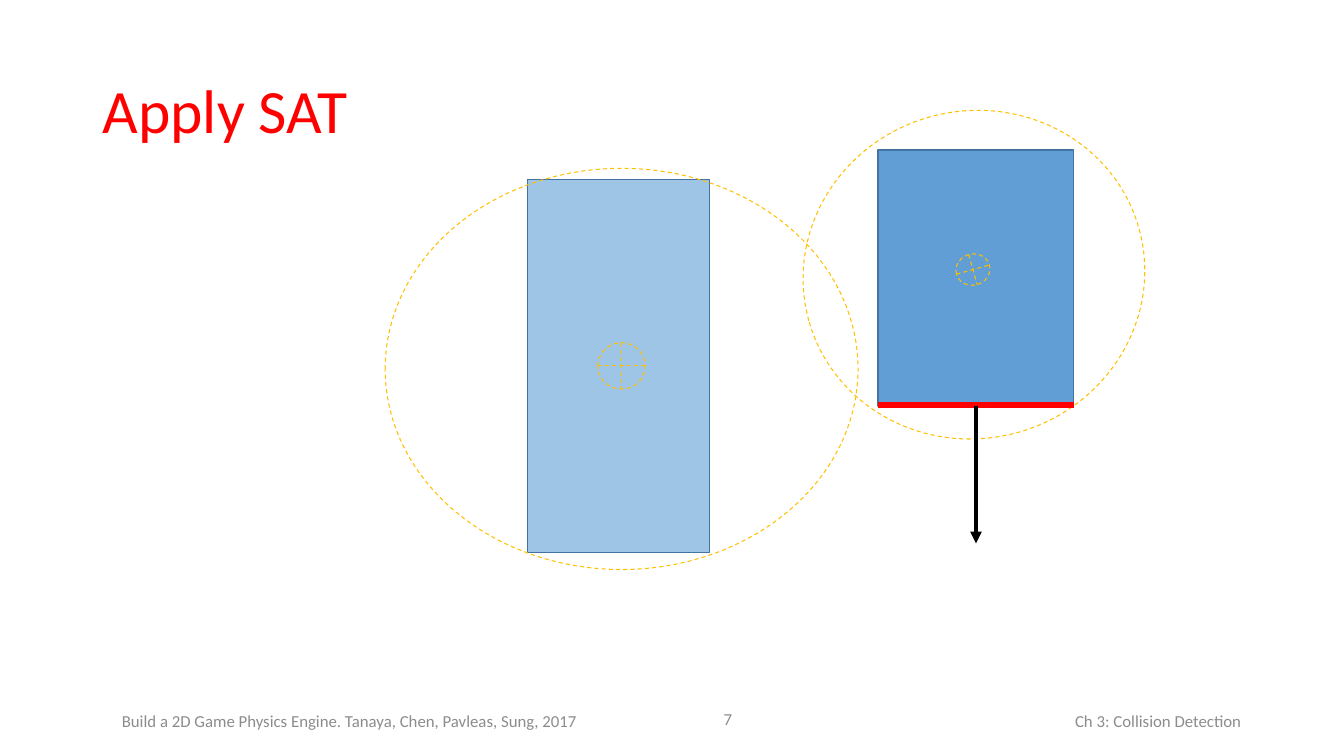
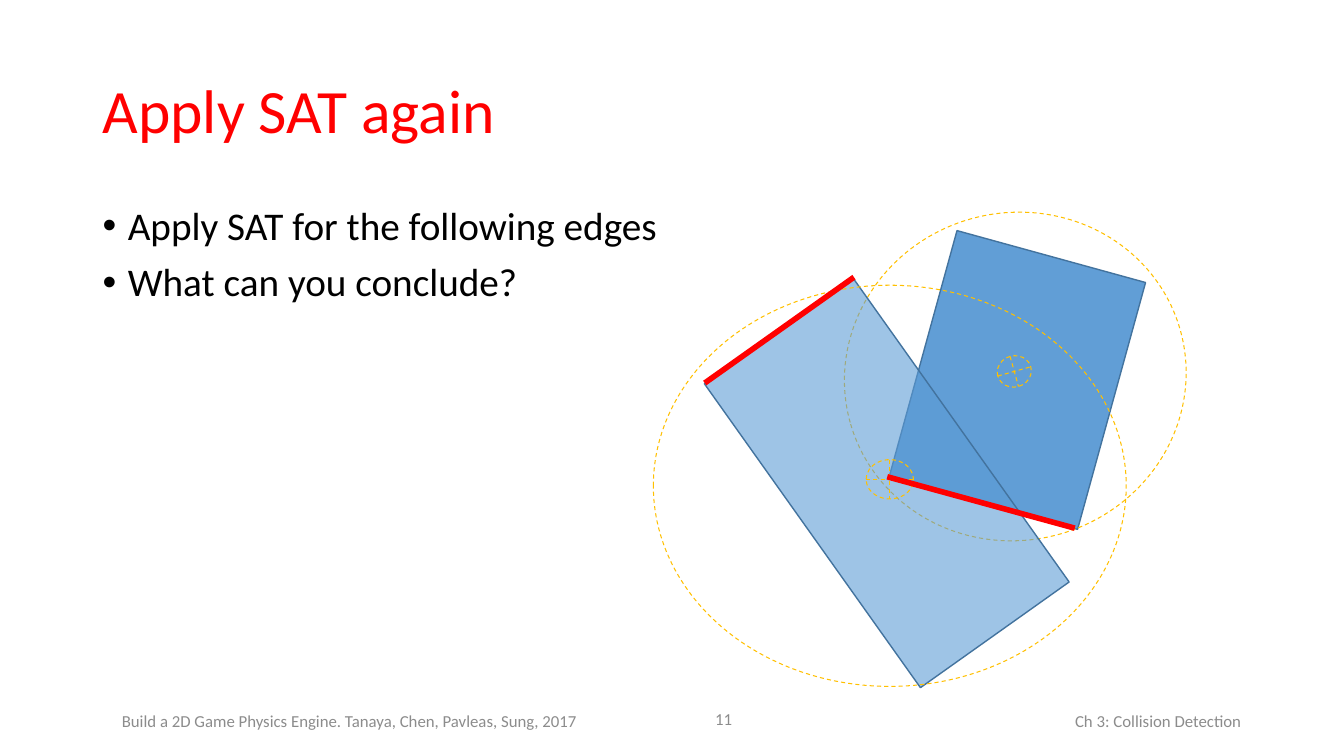
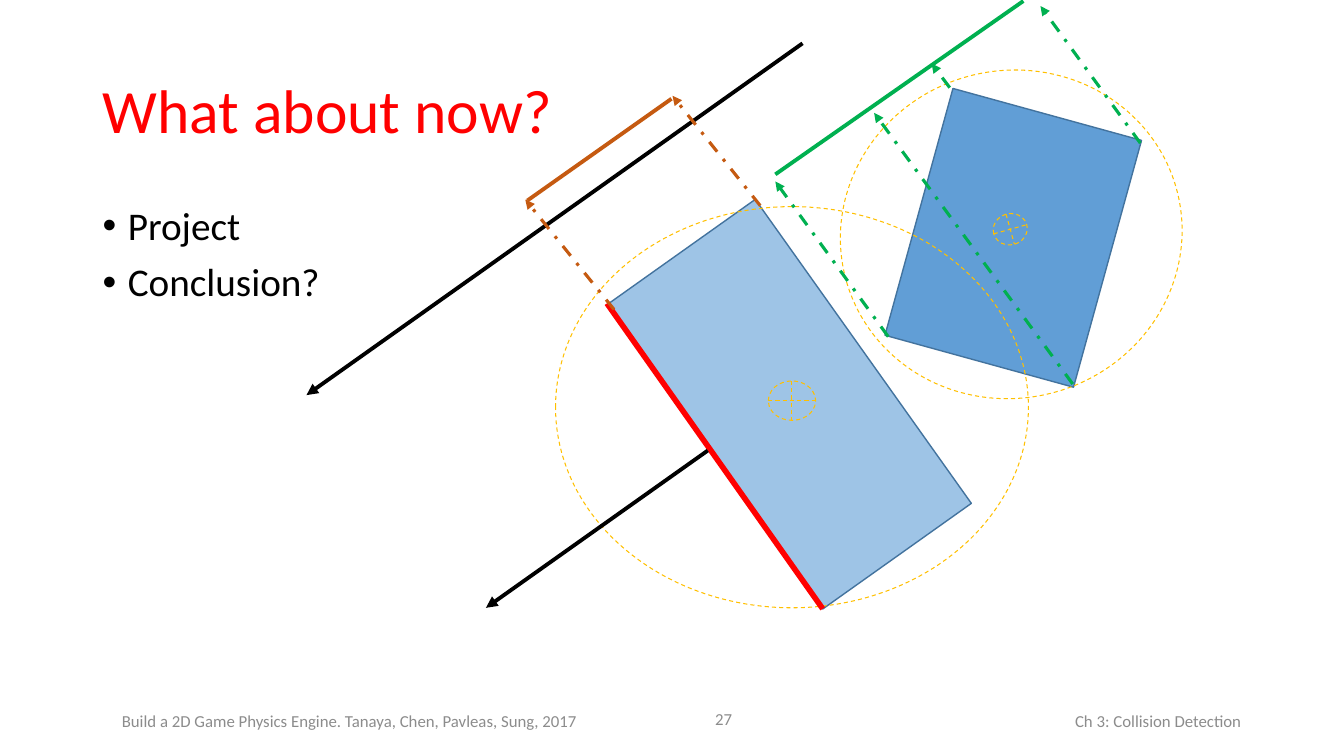
from pptx import Presentation
from pptx.dml.color import RGBColor
from pptx.enum.dml import MSO_LINE
from pptx.enum.shapes import MSO_CONNECTOR, MSO_SHAPE
from pptx.enum.text import MSO_ANCHOR, PP_ALIGN
from pptx.oxml.ns import qn
from pptx.util import Inches, Pt
from lxml import etree

RECT, OVAL, CROSS = MSO_SHAPE.RECTANGLE, MSO_SHAPE.OVAL, MSO_SHAPE.FLOWCHART_OR
STRAIGHT = MSO_CONNECTOR.STRAIGHT
DASH, DASH_DOT = MSO_LINE.DASH, MSO_LINE.DASH_DOT
TOP, MIDDLE = MSO_ANCHOR.TOP, MSO_ANCHOR.MIDDLE
LEFT, RIGHT = PP_ALIGN.LEFT, PP_ALIGN.RIGHT

BLACK, RED, GREY = "000000", "FF0000", "8C8C8C"
BLUE, EDGE, GOLD = "5B9BD5", "43739E", "FFC000"
ORANGE, GREEN = "C55A11", "00B050"
FONT = "Calibri"


def rgb(value):
    return RGBColor.from_string(value)


class Deck:
    def __init__(self):
        self.prs = Presentation()
        self.prs.slide_width, self.prs.slide_height = Inches(13.33), Inches(7.5)
        self.s = None

    def slide(self, title, number):
        self.s = self.prs.slides.add_slide(self.prs.slide_layouts[6])
        self.text(7.6, 6.95, 4.81, 0.4, ["Ch 3: Collision Detection"], 12, GREY, align=RIGHT)
        self.text(1.11, 6.95, 5.05, 0.4,
                  ["Build a 2D Game Physics Engine. Tanaya, Chen, Pavleas, Sung, 2017"], 12, GREY)
        self.text(6.17, 6.93, 1.19, 0.4, [str(number)], 12, GREY, align=RIGHT)
        self.text(0.92, 0.4, 11.5, 1.45, [title], 44, RED, spacing=0.9)

    def text(self, x, y, w, h, lines, size, color, align=LEFT, anchor=MIDDLE, spacing=1.0):
        sp = self.s.shapes.add_textbox(Inches(x), Inches(y), Inches(w), Inches(h))
        tf = sp.text_frame
        tf.word_wrap, tf.vertical_anchor = True, anchor
        for i, line in enumerate(lines):
            p = tf.add_paragraph() if i else tf.paragraphs[0]
            p.alignment, p.line_spacing = align, spacing
            r = p.add_run()
            r.text = line
            r.font.name, r.font.size = FONT, Pt(size)
            r.font.color.rgb = rgb(color)
        return tf

    def bullets(self, lines):
        tf = self.text(0.92, 2, 11.5, 4.76, lines, 28, BLACK, anchor=TOP, spacing=0.9)
        for p in tf.paragraphs:
            p.space_before = Pt(10)
            pPr = p._p.get_or_add_pPr()
            pPr.set("marL", str(Inches(0.25)))
            pPr.set("indent", str(-Inches(0.25)))
            etree.SubElement(pPr, qn("a:buFont")).set("typeface", "Arial")
            etree.SubElement(pPr, qn("a:buChar")).set("char", "•")

    def shape(self, shapes, kind, x, y, w, h, rot, color, width, dash=None, alpha=None):
        sp = shapes.add_shape(kind, Inches(x), Inches(y), Inches(w), Inches(h))
        sp.rotation, sp.shadow.inherit = rot, False
        sp.line.color.rgb, sp.line.width = rgb(color), Pt(width)
        if dash:
            sp.line.dash_style = dash
        if alpha is None:
            sp.fill.background()
        else:
            sp.fill.solid()
            sp.fill.fore_color.rgb = rgb(BLUE)
            clr = sp._element.spPr.find(qn("a:solidFill"))[0]
            etree.SubElement(clr, qn("a:alpha")).set("val", str(alpha * 1000))
        return sp

    def body(self, x, y, w, h, rot, alpha, circle, center, circle_rot):
        """Rectangle with bounding circle and centre mark, both placed from its corner."""
        shapes = self.s.shapes.add_group_shape().shapes
        box = self.shape(shapes, RECT, x, y, w, h, rot, EDGE, 1, alpha=alpha)
        for kind, (dx, dy, cw, ch) in ((OVAL, circle), (CROSS, center)):
            self.shape(shapes, kind, x + dx, y + dy, cw, ch, circle_rot, GOLD, 0.75, DASH)
        return box

    def dark_body(self, x, y, rot=15.4):
        return self.body(x, y, 1.94, 2.54, rot, 96, (-0.75, -0.39, 3.4, 3.25),
                         (0.77, 1.03, 0.34, 0.31), 344.4)

    def light_body(self, x, y, rot=324.6, mark_h=0.39):
        return self.body(x, y, 1.81, 3.7, rot, 59, (-1.41, -0.11, 4.69, 3.98),
                         (0.7, 1.62, 0.47, mark_h), 0)

    def line(self, start, end, color, width=2.75, dash=None, arrow=False):
        cx = self.s.shapes.add_connector(STRAIGHT, *map(Inches, start + end))
        cx.line.color.rgb, cx.line.width = rgb(color), Pt(width)
        if dash:
            cx.line.dash_style = dash
        if arrow:
            etree.SubElement(cx.line._get_or_add_ln(), qn("a:tailEnd")).set("type", "triangle")
        etree.SubElement(cx._element.spPr, qn("a:effectLst"))
        return cx

    def edge(self, start, end):
        return self.line(start, end, RED, 4)

    def normal(self, start, end):
        return self.line(start, end, BLACK, arrow=True)

    def projection(self, start, end, color):
        return self.line(start, end, color, 2.25, DASH_DOT, True)


def main():
    deck = Deck()

    # Upright bodies: one edge and its normal
    deck.slide("Apply SAT", 7)
    box = deck.dark_body(8.71, 1.49, rot=0)
    deck.light_body(5.23, 1.78, rot=0, mark_h=0.46)
    deck.edge((10.65, 4.02), (8.71, 4.02))
    deck.normal((9.68, 4.03), (9.68, 5.39)).begin_connect(box, 2)

    # Overlapping rotated bodies
    deck.slide("Apply SAT again", 11)
    deck.bullets(["Apply SAT for the following edges", "What can you conclude?"])
    deck.dark_body(9.12, 2.5)
    deck.light_body(7.89, 2.94)
    deck.edge((6.99, 3.8), (8.47, 2.75))
    deck.edge((8.8, 4.73), (10.66, 5.24))

    # Separated bodies projected on an axis
    deck.slide("What about now?", 27)
    deck.bullets(["Project", "Conclusion?"])
    deck.dark_body(9.08, 1.09)
    deck.light_body(6.92, 2.16)
    deck.edge((8.16, 6.04), (6.02, 3.01))
    deck.normal((7.02, 4.47), (4.82, 6.03))
    deck.normal((7.96, 0.43), (3.04, 3.92))

    # Projected extents and the corner projections
    deck.line((5.23, 1.99), (6.66, 0.98), ORANGE)
    deck.line((10.15, 0.01), (7.69, 1.73), GREEN)
    for corner, target, color in (
        ((6.09, 3.07), (5.21, 1.98), ORANGE),
        ((7.54, 2.04), (6.67, 0.95), ORANGE),
        ((8.81, 3.34), (7.69, 1.8), GREEN),
        ((10.64, 3.81), (8.67, 1.12), GREEN),
        ((9.42, 0.87), (9.24, 0.63), GREEN),
        ((11.31, 1.42), (10.32, 0.06), GREEN),
    ):
        deck.projection(corner, target, color)

    deck.prs.save("out.pptx")


if __name__ == "__main__":
    main()
